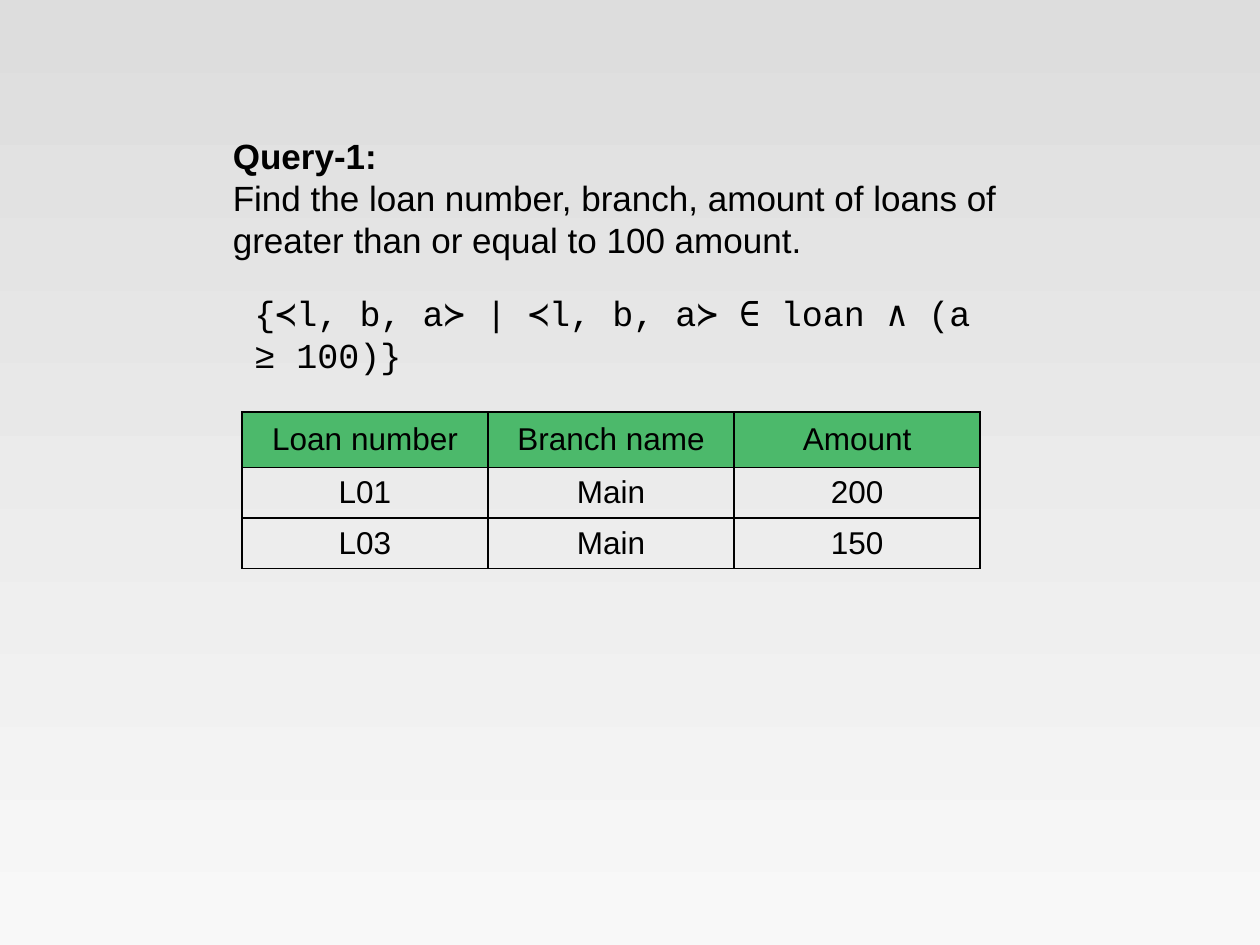
from lxml.etree import SubElement
from pptx import Presentation
from pptx.dml.color import RGBColor
from pptx.enum.text import MSO_ANCHOR, MSO_AUTO_SIZE, PP_ALIGN
from pptx.oxml.ns import qn
from pptx.util import Inches, Pt

BLACK = RGBColor(0x00, 0x00, 0x00)
GREEN = RGBColor(0x4C, 0xB9, 0x6B)
TOP_GRAY = RGBColor(0xDD, 0xDD, 0xDD)
BOTTOM_GRAY = RGBColor(0xF8, 0xF8, 0xF8)


def add_run(paragraph, text, size, font_name="Arial", bold=False):
    run = paragraph.add_run()
    run.text = text
    run.font.size = Pt(size)
    run.font.name = font_name
    run.font.bold = bold
    run.font.color.rgb = BLACK


def add_borders(cell):
    """Draw a 1 pt black line on all four sides of a cell."""
    properties = cell._tc.get_or_add_tcPr()
    for position, side in enumerate(("a:lnL", "a:lnR", "a:lnT", "a:lnB")):
        line = SubElement(properties, qn(side), w=str(Pt(1)))
        solid = SubElement(line, qn("a:solidFill"))
        SubElement(solid, qn("a:srgbClr"), val=str(BLACK))
        properties.insert(position, line)  # borders come before the fill


prs = Presentation()
prs.slide_width = Inches(10)
prs.slide_height = Inches(7.5)
slide = prs.slides.add_slide(prs.slide_layouts[6])

background = slide.background.fill
background.gradient()
background.gradient_angle = 270
for stop, color in zip(background.gradient_stops, (TOP_GRAY, BOTTOM_GRAY)):
    stop.color.rgb = color

# Question
question = slide.shapes.add_textbox(
    Inches(1.75), Inches(1.02), Inches(6.83), Inches(1.11)
).text_frame
question.word_wrap = True
question.auto_size = MSO_AUTO_SIZE.SHAPE_TO_FIT_TEXT
add_run(question.paragraphs[0], "Query-1:", 20, bold=True)
add_run(
    question.add_paragraph(),
    "Find the loan number, branch, amount of loans of greater than or equal to 100 amount.",
    20,
)

# Domain calculus expression
expression = slide.shapes.add_textbox(
    Inches(1.92), Inches(2.43), Inches(6), Inches(0.44)
).text_frame
expression.word_wrap = True
expression.auto_size = MSO_AUTO_SIZE.SHAPE_TO_FIT_TEXT
expression.vertical_anchor = MSO_ANCHOR.MIDDLE
add_run(
    expression.paragraphs[0],
    "{≺l, b, a≻ | ≺l, b, a≻ ∈ loan ∧ (a ≥ 100)}",
    20,
    "Courier New",
)

# Result
loans = [
    ("Loan number", "Branch name", "Amount"),
    ("L01", "Main", "200"),
    ("L03", "Main", "150"),
]
result = slide.shapes.add_table(
    len(loans), len(loans[0]), Inches(1.92), Inches(3.27), Inches(5.86), Inches(1.23)
).table
result.first_row = False
result.horz_banding = False

for row_index, loan in enumerate(loans):
    is_header = row_index == 0
    result.rows[row_index].height = Inches(0.43 if is_header else 0.4)
    for column_index, value in enumerate(loan):
        cell = result.cell(row_index, column_index)
        cell.vertical_anchor = MSO_ANCHOR.MIDDLE
        cell.margin_left = cell.margin_right = Inches(0.07 if is_header else 0.1)
        cell.margin_top = cell.margin_bottom = Inches(0.07 if is_header else 0.05)
        if is_header:
            cell.fill.solid()
            cell.fill.fore_color.rgb = GREEN
        else:
            cell.fill.background()
        add_borders(cell)
        paragraph = cell.text_frame.paragraphs[0]
        paragraph.alignment = PP_ALIGN.CENTER
        add_run(paragraph, value, 18)

prs.save("out.pptx")
